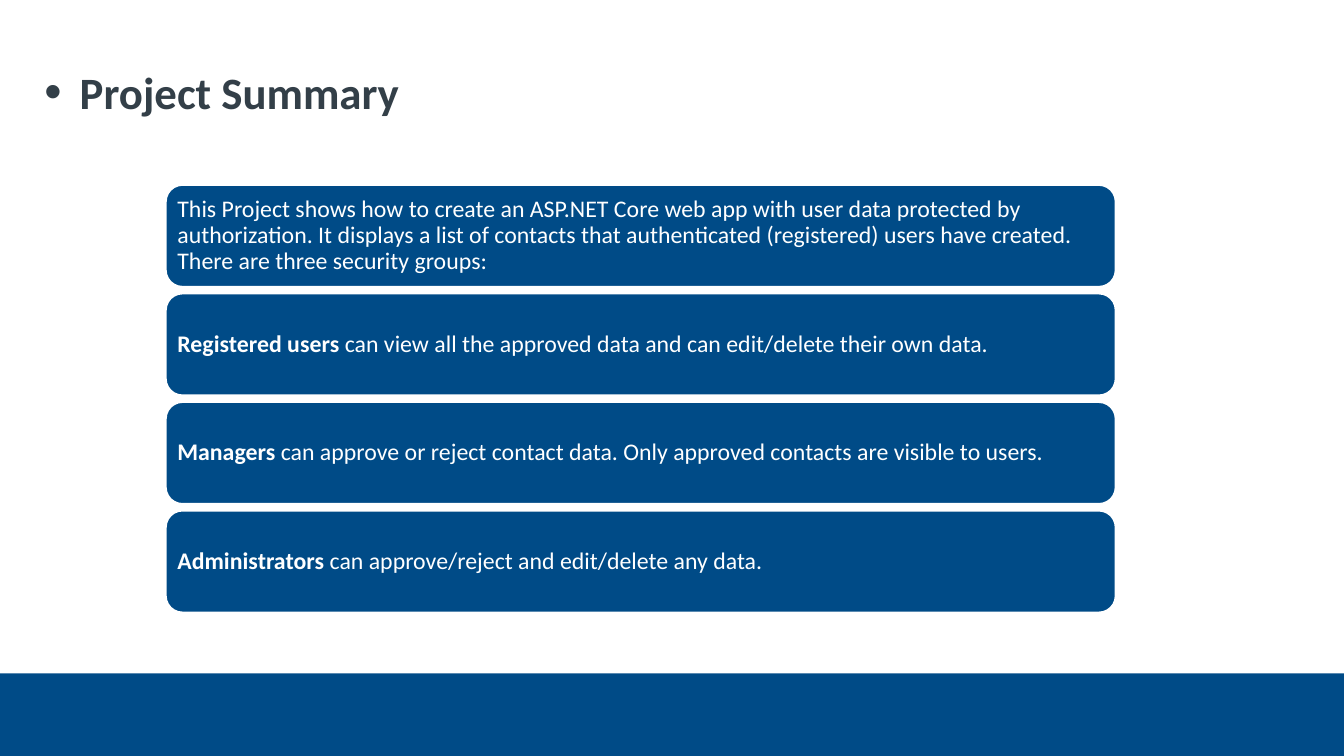
"""Build the project summary slide with its security group panels."""
from dataclasses import dataclass

from lxml import etree
from pptx import Presentation
from pptx.dml.color import RGBColor
from pptx.enum import shapes, text
from pptx.oxml.ns import qn
from pptx.util import Inches, Pt


@dataclass(frozen=True)
class Theme:
    font: str = "Calibri"
    blue: RGBColor = RGBColor(0x00, 0x4B, 0x87)
    slate: RGBColor = RGBColor(0x33, 0x3F, 0x48)
    white: RGBColor = RGBColor(0xFF, 0xFF, 0xFF)
    heading_size: int = 32
    panel_size: int = 17


THEME = Theme()
PANEL_TOP = 1.83
PANEL_PITCH = 1.077
PANELS = [
    ("", "This Project shows how to create an ASP.NET Core web app with user data "
         "protected by authorization. It displays a list of contacts that authenticated "
         "(registered) users have created. There are three security groups:"),
    ("Registered users", " can view all the approved data and can edit/delete their own data."),
    ("Managers", " can approve or reject contact data. "
                 "Only approved contacts are visible to users."),
    ("Administrators", " can approve/reject and edit/delete any data."),
]


def add_run(paragraph, wording, size, color, bold=False):
    run = paragraph.add_run()
    run.text = wording
    run.font.name = THEME.font
    run.font.size = Pt(size)
    run.font.bold = bold
    run.font.color.rgb = color


def set_frame(frame, inset, anchor):
    frame.word_wrap = True
    frame.vertical_anchor = anchor
    frame.margin_left = frame.margin_right = Inches(inset)
    frame.margin_top = frame.margin_bottom = Inches(inset)


def add_block(slide, preset, left, top, width, height):
    block = slide.shapes.add_shape(
        preset, Inches(left), Inches(top), Inches(width), Inches(height))
    block.shadow.inherit = False
    block.fill.solid()
    block.fill.fore_color.rgb = THEME.blue
    block.line.fill.background()
    return block


def add_heading(slide, wording):
    heading = slide.shapes.add_textbox(
        Inches(0.44), Inches(0.64), Inches(11.99), Inches(1.25))
    set_frame(heading.text_frame, 0, text.MSO_ANCHOR.TOP)
    paragraph = heading.text_frame.paragraphs[0]
    properties = paragraph._p.get_or_add_pPr()
    properties.set("marL", str(Inches(0.35)))
    properties.set("indent", str(Inches(-0.35)))
    etree.SubElement(properties, qn("a:buSzPct"), val="110000")
    etree.SubElement(properties, qn("a:buFont"), typeface="Arial")
    etree.SubElement(properties, qn("a:buChar"), char="•")
    add_run(paragraph, wording, THEME.heading_size, THEME.slate, bold=True)


def add_panel(slide, top, group, description):
    panel = add_block(slide, shapes.MSO_SHAPE.ROUNDED_RECTANGLE, 1.64, top, 9.43, 1.02)
    panel.line.color.rgb = THEME.white
    panel.line.width = Pt(2)
    set_frame(panel.text_frame, 0.07, text.MSO_ANCHOR.MIDDLE)
    paragraph = panel.text_frame.paragraphs[0]
    paragraph.alignment = text.PP_ALIGN.LEFT
    paragraph.line_spacing = 0.9
    if group:
        add_run(paragraph, group, THEME.panel_size, THEME.white, bold=True)
    add_run(paragraph, description, THEME.panel_size, THEME.white)


def main():
    deck = Presentation()
    deck.slide_width = Inches(13.33)
    deck.slide_height = Inches(7.5)
    slide = deck.slides.add_slide(deck.slide_layouts[6])
    add_block(slide, shapes.MSO_SHAPE.RECTANGLE, 0, 6.68, 13.33, 0.82)
    add_heading(slide, "Project Summary")
    for row, (group, description) in enumerate(PANELS):
        add_panel(slide, PANEL_TOP + row * PANEL_PITCH, group, description)
    deck.save("out.pptx")


if __name__ == "__main__":
    main()
